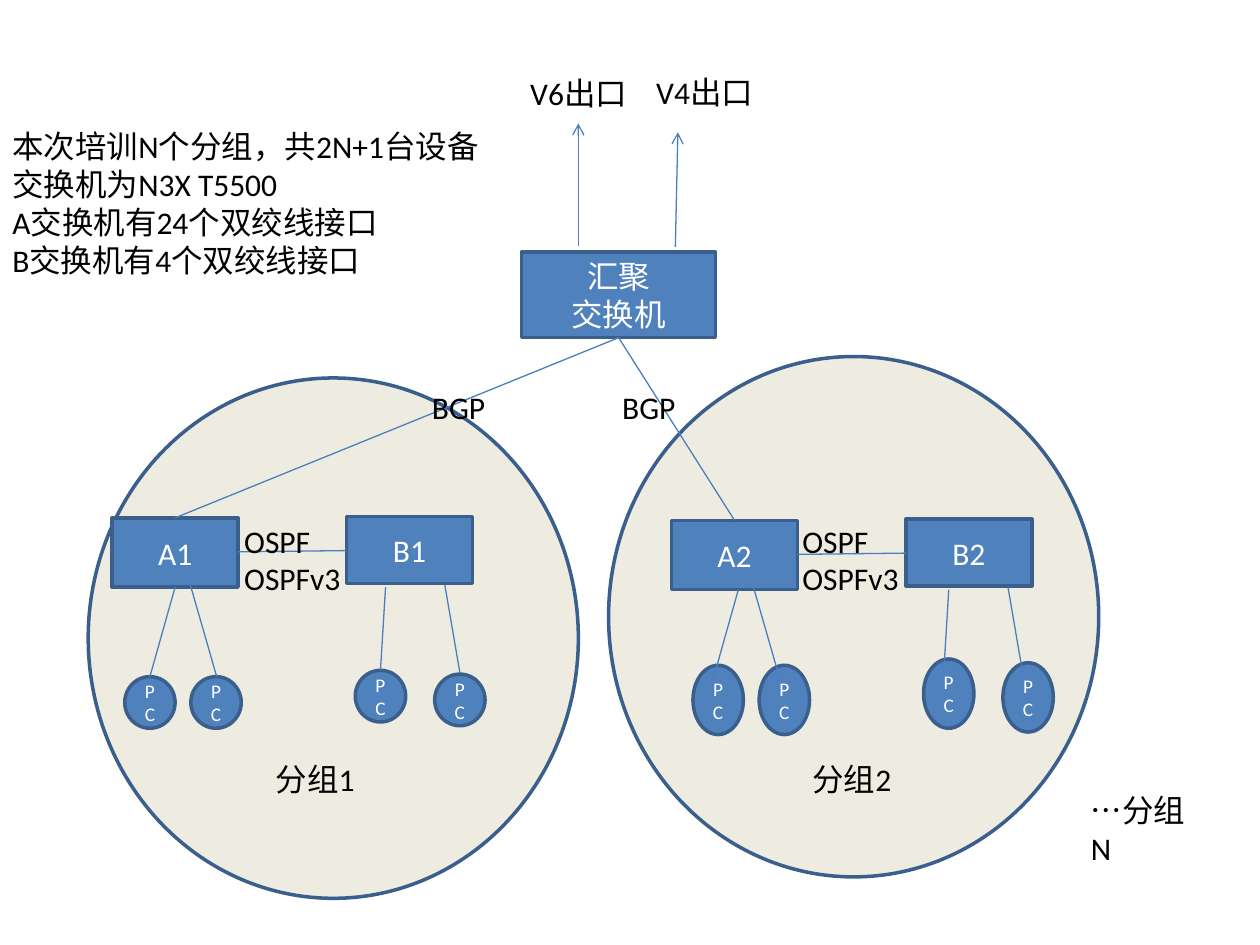
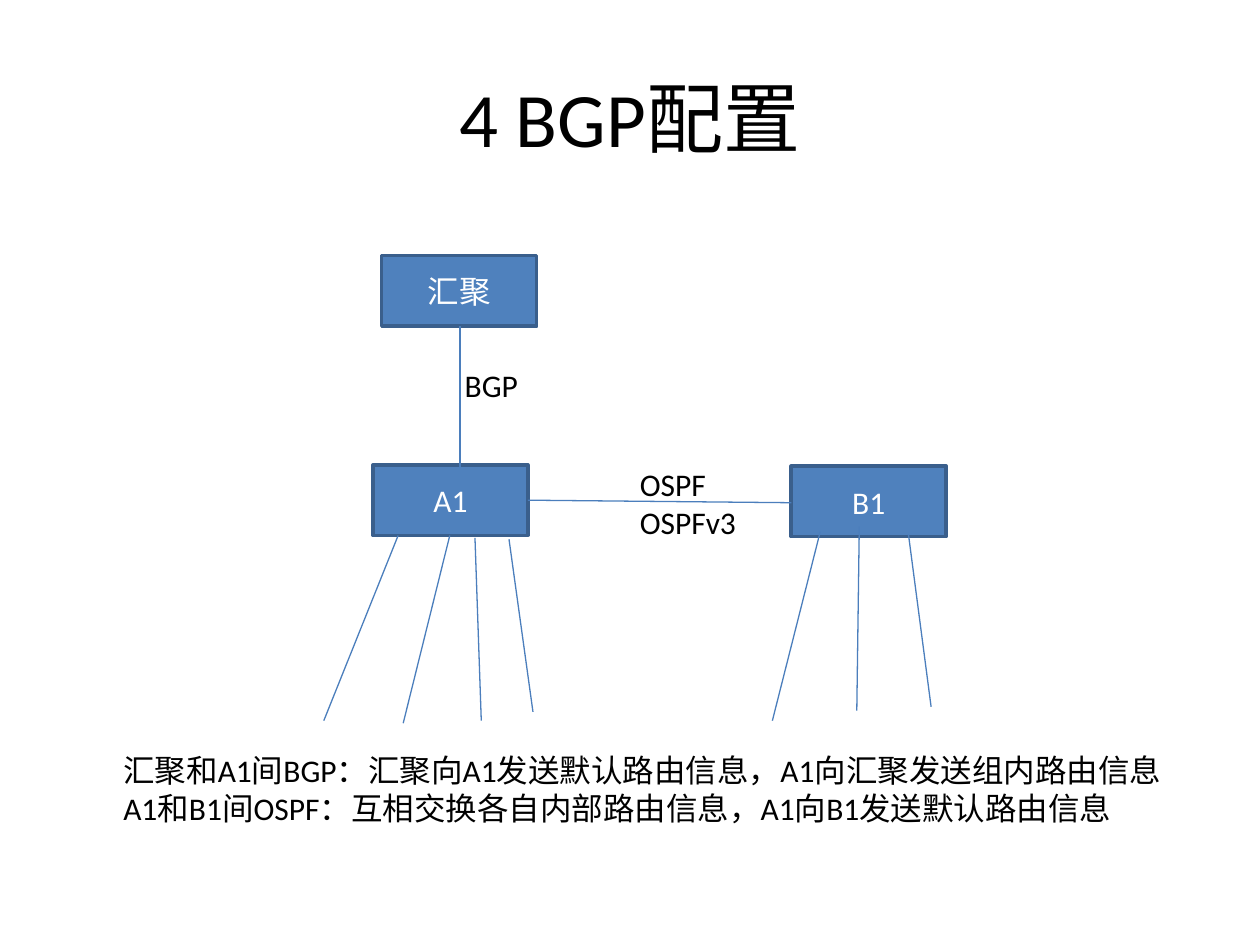
from pptx import Presentation
from pptx.dml.color import RGBColor
from pptx.enum.shapes import MSO_CONNECTOR, MSO_SHAPE
from pptx.enum.text import MSO_ANCHOR, PP_ALIGN
from pptx.oxml.ns import qn
from pptx.util import Inches, Pt
from lxml import etree

RECTANGLE, OVAL = MSO_SHAPE.RECTANGLE, MSO_SHAPE.OVAL
STRAIGHT = MSO_CONNECTOR.STRAIGHT
MIDDLE, TOP = MSO_ANCHOR.MIDDLE, MSO_ANCHOR.TOP
CENTER, LEFT = PP_ALIGN.CENTER, PP_ALIGN.LEFT

SLIDE_W, SLIDE_H = Inches(10), Inches(7.5)
CELL = SLIDE_W / 100  # the grid has 100 columns and 75 rows

BLUE = RGBColor(0x4F, 0x81, 0xBD)
OUTLINE = RGBColor(0x3A, 0x5F, 0x8C)
LINK = RGBColor(0x4B, 0x7E, 0xBC)
BEIGE = RGBColor(0xEE, 0xEC, 0xE1)
WHITE = RGBColor(0xFF, 0xFF, 0xFF)
BLACK = RGBColor(0x00, 0x00, 0x00)
FONT = "Calibri"
BODY, SMALL, TITLE = 18, 11, 44
OSPF = "OSPF\nOSPFv3"


def cells(*counts):
    return [round(count * CELL) for count in counts]


def write(frame, text, size, color, align, anchor, wrap=True):
    frame.word_wrap = wrap
    frame.vertical_anchor = anchor
    frame.text = text
    for paragraph in frame.paragraphs:
        paragraph.alignment = align
        font = paragraph.font
        font.name, font.size = FONT, Pt(size)
        font.color.rgb = color


def add_node(slide, kind, box, text="", size=BODY, fill=BLUE):
    """Draw an outlined shape; box is left, top, width, height in cells."""
    node = slide.shapes.add_shape(kind, *cells(*box))
    node.shadow.inherit = False
    node.fill.solid()
    node.fill.fore_color.rgb = fill
    node.line.color.rgb = OUTLINE
    node.line.width = Pt(2)
    if text:
        write(node.text_frame, text, size, WHITE, CENTER, MIDDLE)


def add_label(slide, box, text, wrap=True):
    label = slide.shapes.add_textbox(*cells(*box))
    write(label.text_frame, text, BODY, BLACK, LEFT, TOP, wrap)


def add_protocol(slide, left, top, text):
    size = (9.7, 7.1) if text == OSPF else (6.3, 4)
    add_label(slide, (left, top, *size), text, wrap=False)


def add_title(slide, text):
    title = slide.shapes.add_textbox(*cells(5, 3, 90, 12.5))
    write(title.text_frame, text, TITLE, BLACK, CENTER, MIDDLE)


def add_link(slide, start, end, arrow=False):
    link = slide.shapes.add_connector(STRAIGHT, *cells(*start, *end))
    link.line.color.rgb = LINK
    link.line.width = Pt(0.75)
    if arrow:
        etree.SubElement(link.line._get_or_add_ln(), qn("a:tailEnd"), type="arrow")
    etree.SubElement(link._element.spPr, qn("a:effectLst"))


def add_group(slide, number, circle, switch, pcs, pc_height, links, name, protocol):
    """Draw a training group; each pair is the left and top of one of its parts."""
    add_node(slide, OVAL, (*circle, 38.9, 41.3), fill=BEIGE)

    left, top = switch
    add_node(slide, RECTANGLE, (left, top, 10, 5.5), f"A{number}")
    add_node(slide, RECTANGLE, (left + 18.6, top - 0.1, 10, 5.3), f"B{number}")
    add_link(slide, (left + 10, top + 2.7), (left + 18.6, top + 2.6))

    left, top = pcs
    for right, down in ((0, 0), (5.25, 0), (18.3, -0.5), (24.6, -0.2)):
        add_node(slide, OVAL, (left + right, top + down, 4, pc_height), "PC", SMALL)

    left, top = links
    for pc_x, pc_y, port_x, port_y in (
        (0, 7.1, 2, 0),
        (5.3, 7.1, 3.2, -0.2),
        (18.3, 6.6, 18.7, 0),
        (24.6, 6.8, 23.4, -0.2),
    ):
        add_link(slide, (left + pc_x, top + pc_y), (left + port_x, top + port_y))

    add_label(slide, (*name, 8.3, 4), f"分组{number}")
    add_protocol(slide, *protocol, OSPF)


def build_topology(slide):
    add_group(slide, 1, circle=(7, 30), switch=(8.9, 41.1), pcs=(9.9, 53.7),
              pc_height=4.1, links=(11.9, 46.6), name=(20.9, 59.8), protocol=(18.4, 40.9))
    add_group(slide, 2, circle=(48.3, 28.3), switch=(53.3, 41.3), pcs=(55, 52.8),
              pc_height=5.5, links=(56.6, 46.8), name=(63.5, 59.8), protocol=(62.7, 40.9))
    add_label(slide, (85.6, 62.3, 10.4, 4), "…分组N")

    add_node(slide, RECTANGLE, (41.4, 20, 15.4, 6.8), "汇聚\n交换机")
    core_port = (49.1, 26.8)
    for switch_port, bgp_left in (((13.9, 41.1), 33.3), ((58.3, 41.3), 48.4)):
        add_link(slide, switch_port, core_port)
        add_protocol(slide, bgp_left, 30.3, "BGP")

    add_link(slide, (45.9, 19.5), (45.9, 9.8), arrow=True)
    add_link(slide, (53.6, 19.6), (53.8, 10.5), arrow=True)
    add_label(slide, (41.1, 5.4, 9.8, 4), "V6出口")
    add_label(slide, (51.1, 5.3, 9.8, 4), "V4出口")
    add_label(slide, (0, 9.6, 39.4, 13.1),
              "本次培训N个分组，共2N+1台设备\n交换机为N3X T5500\n"
              "A交换机有24个双绞线接口\nB交换机有4个双绞线接口")


def build_bgp(slide):
    add_title(slide, "4 BGP配置")
    for left, top, name in ((30.3, 20.3, "汇聚"), (29.6, 36.9, "A1"), (62.8, 37, "B1")):
        add_node(slide, RECTANGLE, (left, top, 12.3, 5.6), name)

    add_link(slide, (36.5, 37.1), (36.5, 25.9))
    add_link(slide, (41.9, 39.7), (62.8, 39.9))
    a1_ports = (
        ((31.6, 42.5), (25.7, 57.2)),
        ((35.7, 42.5), (32, 57.4)),
        ((37.7, 42.7), (38.2, 57.2)),
        ((40.4, 42.8), (42.3, 56.5)),
    )
    b1_ports = (
        ((65.1, 42.2), (61.3, 57.2)),
        ((68.2, 41.8), (68, 56.4)),
        ((72.1, 42.4), (73.9, 56.1)),
    )
    for port, end in a1_ports + b1_ports:
        add_link(slide, port, end)

    add_protocol(slide, 35.9, 28.6, "BGP")
    add_protocol(slide, 49.8, 36.4, OSPF)
    add_label(slide, (8.8, 59.1, 85.8, 10.1),
              "汇聚和A1间BGP：汇聚向A1发送默认路由信息，A1向汇聚发送组内路由信息\n"
              "A1和B1间OSPF：互相交换各自内部路由信息，A1向B1发送默认路由信息")


def main():
    deck = Presentation()
    deck.slide_width, deck.slide_height = SLIDE_W, SLIDE_H
    blank = deck.slide_layouts[6]
    for build in (build_topology, build_bgp):
        build(deck.slides.add_slide(blank))
    deck.save("out.pptx")


if __name__ == "__main__":
    main()
